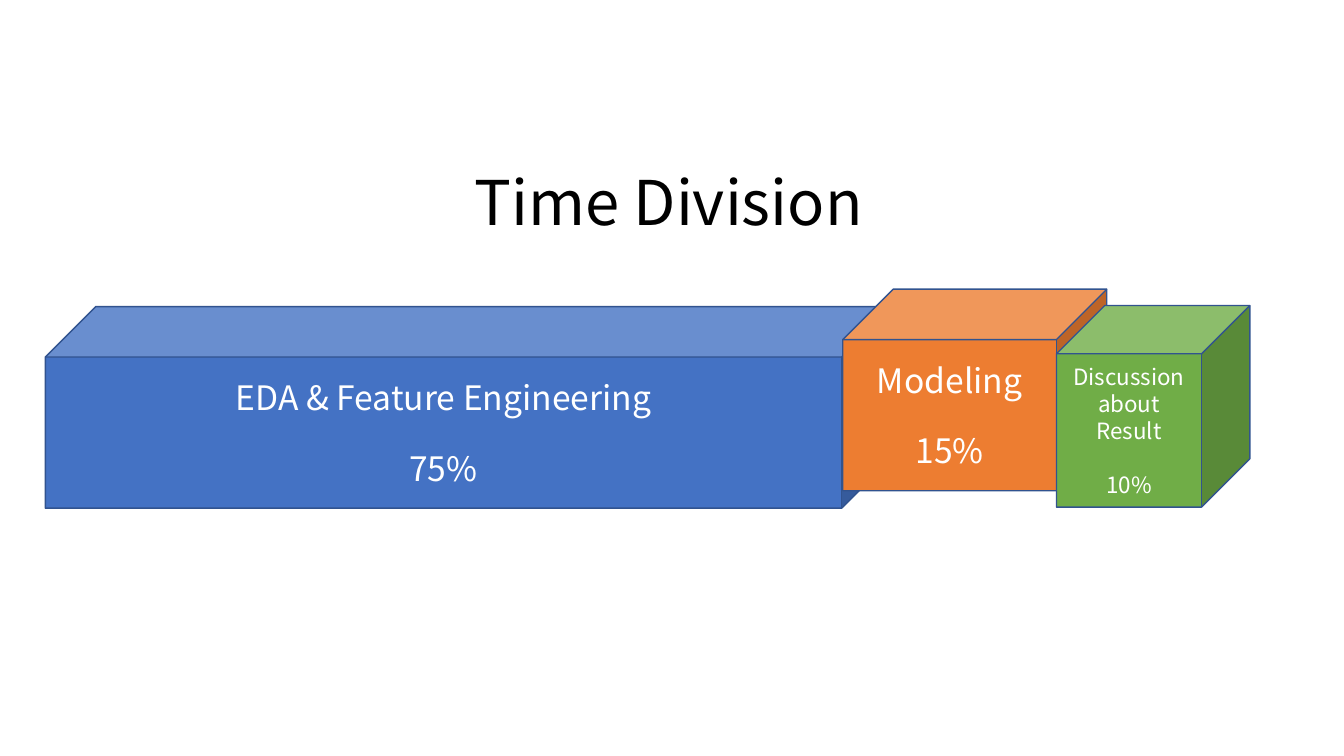
from pptx import Presentation
from pptx.dml.color import RGBColor
from pptx.enum.shapes import MSO_SHAPE as SHAPE
from pptx.enum.text import MSO_ANCHOR as ANCHOR, MSO_AUTO_SIZE as AUTO, PP_ALIGN as ALIGN
from pptx.util import Pt


def rgb(color):
    return RGBColor.from_string(color)


def write(tf, text, size=24, color="FFFFFF", font="Noto Sans CJK KR",
          align=ALIGN.CENTER, anchor=ANCHOR.MIDDLE, last_gap=0):
    tf.word_wrap = True
    tf.vertical_anchor = anchor
    tf.margin_left = tf.margin_right = Pt(7.2)
    tf.margin_top = tf.margin_bottom = Pt(3.6)
    tf.text = text
    for p in tf.paragraphs:
        p.alignment = align
        p.line_spacing = 1.0
        p.space_before = Pt(0)
        for r in p.runs:
            r.font.name = font
            r.font.size = Pt(size)
            r.font.color.rgb = rgb(color)
    if last_gap:
        tf.paragraphs[-1].space_before = Pt(last_gap)


class Deck:
    """Builds slides in one style, holding the current slide."""

    outline = "31538F"

    def __init__(self, width, height):
        self.prs = Presentation()
        self.prs.slide_width, self.prs.slide_height = Pt(width), Pt(height)
        self.s = None

    def add_slide(self):
        self.s = self.prs.slides.add_slide(self.prs.slide_layouts[5])

    def title(self, text, x, y, w, h):
        sp = self.s.shapes.title
        sp.left, sp.top, sp.width, sp.height = Pt(x), Pt(y), Pt(w), Pt(h)
        write(sp.text_frame, text, size=44, color="000000",
              align=ALIGN.LEFT, anchor=ANCHOR.TOP)
        sp.text_frame.auto_size = AUTO.SHAPE_TO_FIT_TEXT

    def cube(self, text, x, y, w, h, fill, size, gap):
        sp = self.s.shapes.add_shape(SHAPE.CUBE, Pt(x), Pt(y), Pt(w), Pt(h))
        sp.shadow.inherit = False
        sp.fill.solid()
        sp.fill.fore_color.rgb = rgb(fill)
        sp.line.color.rgb = rgb(self.outline)
        sp.line.width = Pt(1)
        write(sp.text_frame, text, size=size, last_gap=gap)


def main():
    deck = Deck(960, 540)
    deck.add_slide()
    phases = [
        ("EDA & Feature Engineering\n75%", 32.4, 219, 604.8, "4472C4", 24, 21.6),
        ("Modeling\n15%", 602, 206.6, 188.6, "ED7D31", 24, 21.6),
        ("Discussion\nabout\nResult\n10%", 754.6, 218.2, 138.2, "70AD47", 16, 19.2),
    ]
    for text, x, y, w, fill, size, gap in phases:
        deck.cube(text, x, y, w, 144, fill, size, gap)
    deck.title("Time Division", 332, 113.8, 316.8, 60.5)
    deck.prs.save("out.pptx")


if __name__ == "__main__":
    main()
